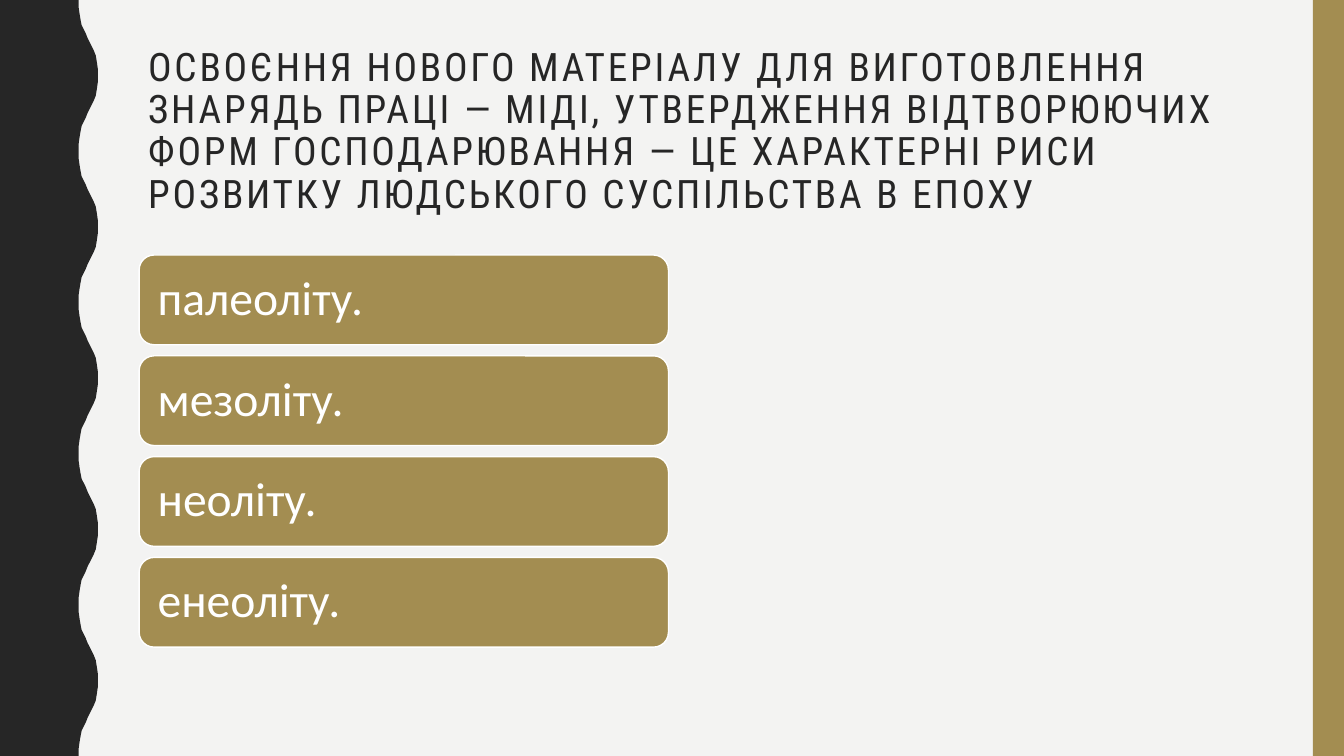
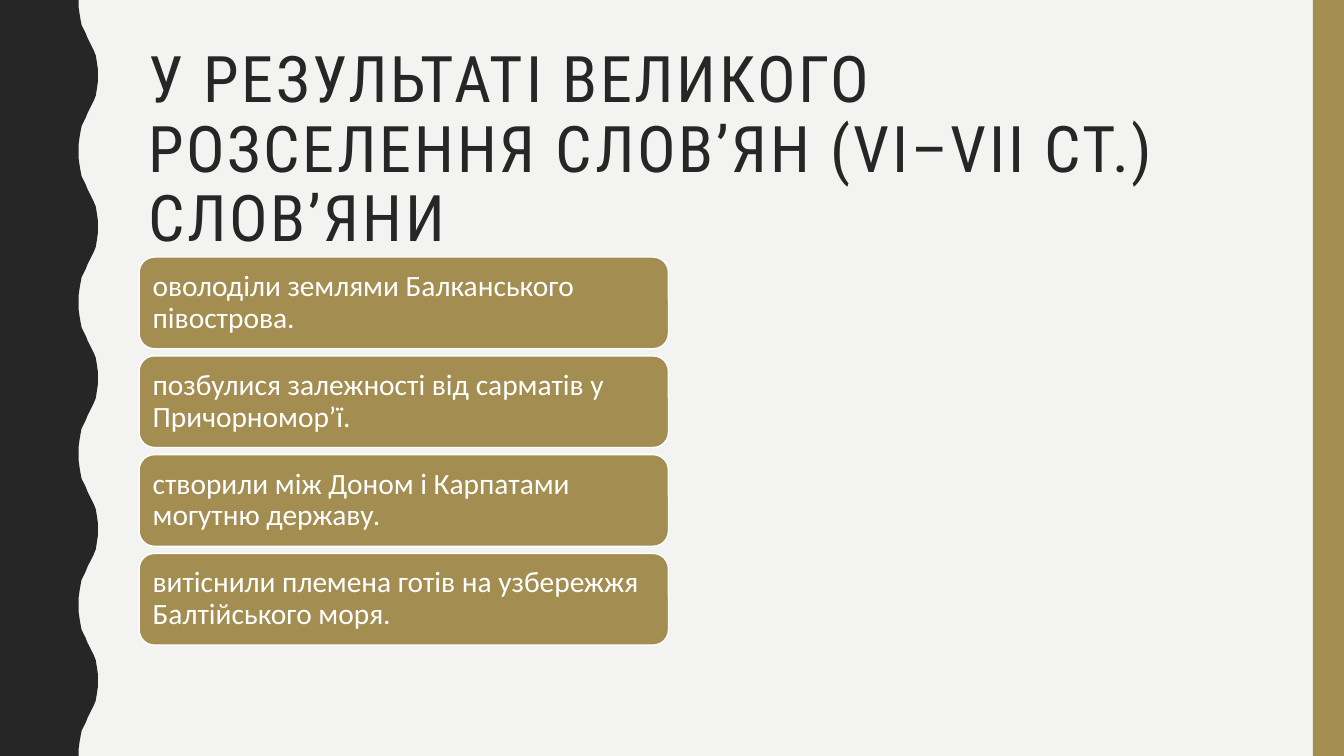
from lxml import etree
from pptx import Presentation
from pptx.dml.color import RGBColor
from pptx.enum import shapes, text
from pptx.util import Inches, Pt

DARK = RGBColor(0x26, 0x26, 0x26)
GOLD = RGBColor(0xA3, 0x8D, 0x51)
PAPER = RGBColor(0xF3, 0xF3, 0xF2)
WHITE = RGBColor(0xFF, 0xFF, 0xFF)
TITLE_FONT = "Roboto Condensed"
BODY_FONT = "Calibri"

WIDTH, HEIGHT = 13.33, 7.5
WAVE_PERIOD = 1.5
# Edge of the wave from its trough to its crest, in inches.
HALF_WAVE = [
    (0.78, 0), (0.78, 0.07), (0.79, 0.14), (0.8, 0.2), (0.81, 0.25),
    (0.83, 0.29), (0.85, 0.33), (0.87, 0.38), (0.89, 0.42), (0.91, 0.46),
    (0.93, 0.5), (0.95, 0.55), (0.96, 0.61), (0.97, 0.68), (0.97, 0.75),
]

QUESTIONS = [
    {
        "title": "ОСВОЄННЯ НОВОГО МАТЕРІАЛУ ДЛЯ ВИГОТОВЛЕННЯ ЗНАРЯДЬ ПРАЦІ — МІДІ, "
                 "УТВЕРДЖЕННЯ ВІДТВОРЮЮЧИХ ФОРМ ГОСПОДАРЮВАННЯ — ЦЕ ХАРАКТЕРНІ РИСИ "
                 "РОЗВИТКУ ЛЮДСЬКОГО СУСПІЛЬСТВА В ЕПОХУ",
        "title_size": 28,
        "answers": ["палеоліту.", "мезоліту.", "неоліту.", "енеоліту."],
        "answer_size": 34,
        "inset": 0.14,
        "box": (1.38, 2.53, 5.25, 3.89),
        "gap": 0.11,
    },
    {
        "title": "У РЕЗУЛЬТАТІ ВЕЛИКОГО РОЗСЕЛЕННЯ СЛОВ’ЯН (VI–VIІ СТ.) СЛОВ’ЯНИ",
        "title_size": 45.9,
        "answers": [
            "оволоділи землями Балканського півострова.",
            "позбулися залежності від сарматів у Причорномор’ї.",
            "створили між Доном і Карпатами могутню державу.",
            "витіснили племена готів на узбережжя Балтійського моря.",
        ],
        "answer_size": 21,
        "inset": 0.09,
        "box": (1.38, 2.55, 5.25, 3.85),
        "gap": 0.07,
    },
]


def paint(shape, color):
    shape.shadow.inherit = False
    shape.fill.solid()
    shape.fill.fore_color.rgb = color
    shape.line.fill.background()


def write(frame, words, font_name, size, color):
    """Put one left-aligned paragraph in a text frame and return its run."""
    frame.word_wrap = True
    frame.auto_size = text.MSO_AUTO_SIZE.NONE
    para = frame.paragraphs[0]
    para.alignment = text.PP_ALIGN.LEFT
    para.line_spacing = 0.9
    span = para.add_run()
    span.text = words
    span.font.name = font_name
    span.font.size = Pt(size)
    span.font.color.rgb = color
    return span


def add_wave(page):
    crest_to_trough = [(x, WAVE_PERIOD - y) for x, y in reversed(HALF_WAVE[:-1])]
    wave = HALF_WAVE + crest_to_trough[:-1]
    edge = [(x, y + WAVE_PERIOD * turn)
            for turn in range(round(HEIGHT / WAVE_PERIOD)) for x, y in wave]
    edge += [(HALF_WAVE[0][0], HEIGHT), (0, HEIGHT)]
    outline = page.shapes.build_freeform(0, 0)
    outline.add_line_segments([(Inches(x), Inches(y)) for x, y in edge], close=True)
    paint(outline.convert_to_shape(), DARK)


def add_side_band(page, width=0.31):
    band = page.shapes.add_shape(
        shapes.MSO_SHAPE.RECTANGLE, Inches(WIDTH - width), 0, Inches(width), Inches(HEIGHT))
    paint(band, GOLD)


def set_title(page, words, size):
    title = page.shapes.title
    title.left, title.top = Inches(1.37), Inches(0.42)
    title.width, title.height = Inches(11.13), Inches(1.63)
    title.text_frame.vertical_anchor = text.MSO_ANCHOR.TOP
    span = write(title.text_frame, words, TITLE_FONT, size, DARK)
    span.font._element.set("spc", "200")


def add_answers(page, box, answers, gap, size, inset):
    """Stack equal rounded cards, one for each answer, to fill the box."""
    left, top, width, height = box
    card_height = (height - gap * (len(answers) - 1)) / len(answers)
    for row, answer in enumerate(answers):
        card = page.shapes.add_shape(
            shapes.MSO_SHAPE.ROUNDED_RECTANGLE,
            Inches(left), Inches(top + row * (card_height + gap)),
            Inches(width), Inches(card_height))
        paint(card, GOLD)
        card.line.color.rgb = WHITE
        card.line.width = Pt(1)
        frame = card.text_frame
        frame.margin_left = frame.margin_right = Inches(inset)
        frame.margin_top = frame.margin_bottom = Inches(inset)
        frame.vertical_anchor = text.MSO_ANCHOR.MIDDLE
        write(frame, answer, BODY_FONT, size, WHITE)


def add_question(deck, question):
    page = deck.slides.add_slide(deck.slide_layouts[5])
    add_wave(page)
    add_side_band(page)
    set_title(page, question["title"], question["title_size"])
    add_answers(page, question["box"], question["answers"], question["gap"],
                question["answer_size"], question["inset"])


def main():
    deck = Presentation()
    deck.slide_width, deck.slide_height = Inches(WIDTH), Inches(HEIGHT)
    backdrop = deck.slide_master.background.fill
    backdrop.solid()
    backdrop.fore_color.rgb = PAPER
    for question in QUESTIONS:
        add_question(deck, question)
    deck.save("out.pptx")


if __name__ == "__main__":
    main()
